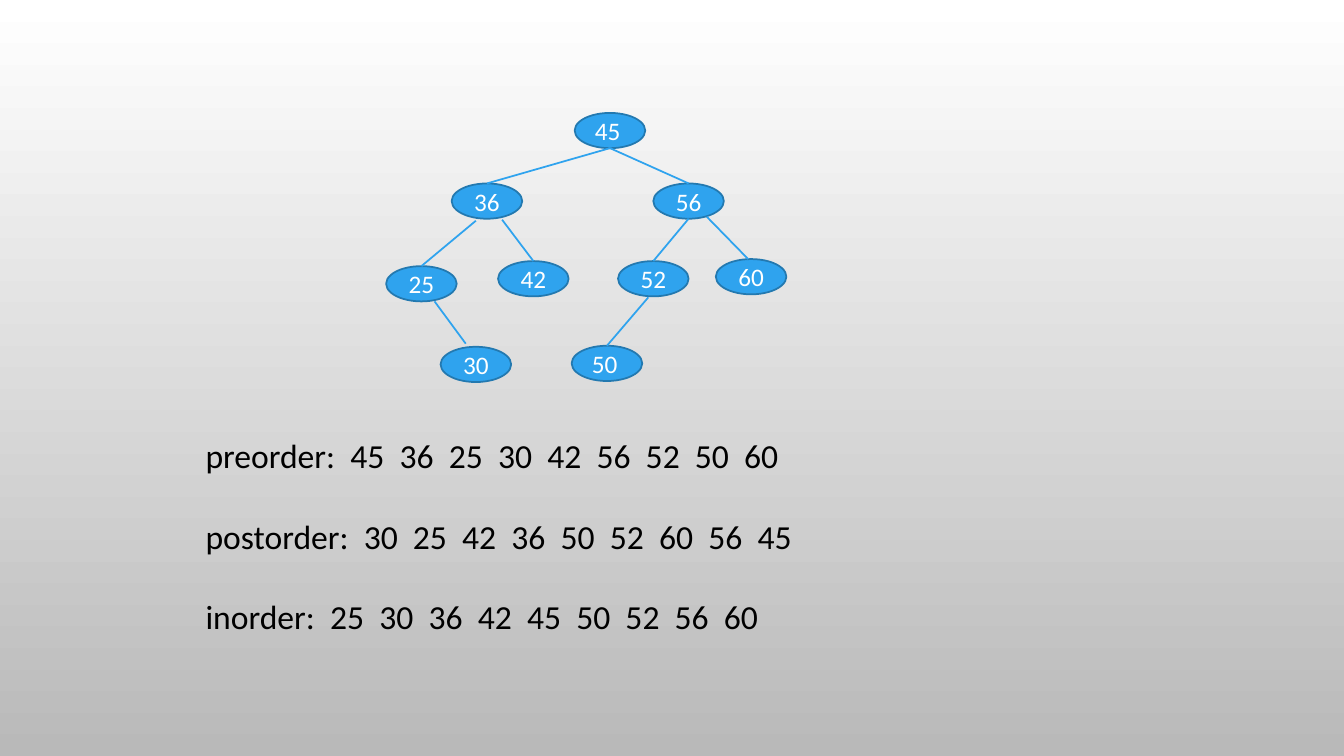
from dataclasses import dataclass

from lxml import etree
from pptx import Presentation
from pptx import util as u
from pptx.dml.color import RGBColor
from pptx.enum import shapes, text
from pptx.oxml import ns


@dataclass(frozen=True)
class Theme:
    font: str = "Calibri"
    node: str = "2FA3EE"
    node_line: str = "2379B0"
    node_text: str = "FFFFFF"
    body: str = "000000"
    bg: tuple = ("FFFFFF", "B9B9B9")
    node_size: int = 18
    body_size: int = 24
    line_width: float = 1.25


NODE_W, NODE_H = 0.7, 0.35
LEFT, CENTER = text.PP_ALIGN.LEFT, text.PP_ALIGN.CENTER

# label, left, top, alignment
NODES = [
    ("45", 5.7, 1.12, LEFT),
    ("36", 4.48, 1.82, CENTER),
    ("56", 6.48, 1.82, CENTER),
    ("42", 4.94, 2.59, CENTER),
    ("25", 3.83, 2.64, CENTER),
    ("52", 6.13, 2.59, CENTER),
    ("60", 7.1, 2.57, CENTER),
    ("30", 4.37, 3.44, CENTER),
    ("50", 5.67, 3.43, LEFT),
]

# start x, start y, end x, end y
EDGES = [
    (6.05, 1.47, 4.83, 1.82),
    (6.05, 1.47, 6.83, 1.82),
    (4.72, 2.19, 4.18, 2.64),
    (6.83, 2.17, 6.48, 2.59),
    (7.01, 2.15, 7.42, 2.57),
    (4.98, 2.18, 5.29, 2.59),
    (4.31, 2.99, 4.62, 3.41),
    (6.43, 2.95, 6.02, 3.43),
]

TRAVERSALS = [
    "preorder:  45  36  25  30  42  56  52  50  60",
    "postorder:  30  25  42  36  50  52  60  56  45",
    "inorder:  25  30  36  42  45  50  52  56  60",
]


def rgb(value):
    return RGBColor.from_string(value)


def write(p, content, *, font, size, color, align=LEFT, after=0):
    p.alignment = align
    p.space_after = u.Pt(after)
    r = p.add_run()
    r.text = content
    r.font.name = font
    r.font.size = u.Pt(size)
    r.font.color.rgb = rgb(color)


class TreeSlide:
    def __init__(self, prs, theme):
        self.theme = theme
        self.s = prs.slides.add_slide(prs.slide_layouts[6])

    def background(self):
        fill = self.s.background.fill
        fill.gradient()
        fill.gradient_angle = 270  # counter-clockwise: top to bottom
        for stop, color in zip(fill.gradient_stops, self.theme.bg):
            stop.color.rgb = rgb(color)

    def node(self, label, x, y, align):
        t = self.theme
        sp = self.s.shapes.add_shape(
            shapes.MSO_SHAPE.OVAL,
            u.Inches(x), u.Inches(y), u.Inches(NODE_W), u.Inches(NODE_H))
        sp.shadow.inherit = False
        sp.fill.solid()
        sp.fill.fore_color.rgb = rgb(t.node)
        sp.line.color.rgb = rgb(t.node_line)
        sp.line.width = u.Pt(t.line_width)
        tf = sp.text_frame
        tf.vertical_anchor = text.MSO_ANCHOR.MIDDLE
        write(tf.paragraphs[0], label, font=t.font, size=t.node_size,
              color=t.node_text, align=align)

    def edge(self, *ends):
        cx = self.s.shapes.add_connector(
            shapes.MSO_CONNECTOR.STRAIGHT, *map(u.Inches, ends))
        cx.line.color.rgb = rgb(self.theme.node)
        cx.line.width = u.Pt(self.theme.line_width)
        etree.SubElement(cx._element.spPr, ns.qn("a:effectLst"))

    def paragraphs(self, lines, x, y, w, h, after):
        t = self.theme
        tf = self.s.shapes.add_textbox(*map(u.Inches, (x, y, w, h))).text_frame
        tf.word_wrap = True
        for i, line in enumerate(lines):
            p = tf.add_paragraph() if i else tf.paragraphs[0]
            write(p, line, font=t.font, size=t.body_size, color=t.body,
                  after=after)


def main():
    prs = Presentation()
    prs.slide_width, prs.slide_height = u.Inches(13.33), u.Inches(7.5)
    slide = TreeSlide(prs, Theme())
    slide.background()
    for node in NODES:
        slide.node(*node)
    for edge in EDGES:
        slide.edge(*edge)
    slide.paragraphs(TRAVERSALS, 1.94, 4.27, 10.04, 2.12, after=28.5)
    prs.save("out.pptx")


if __name__ == "__main__":
    main()
